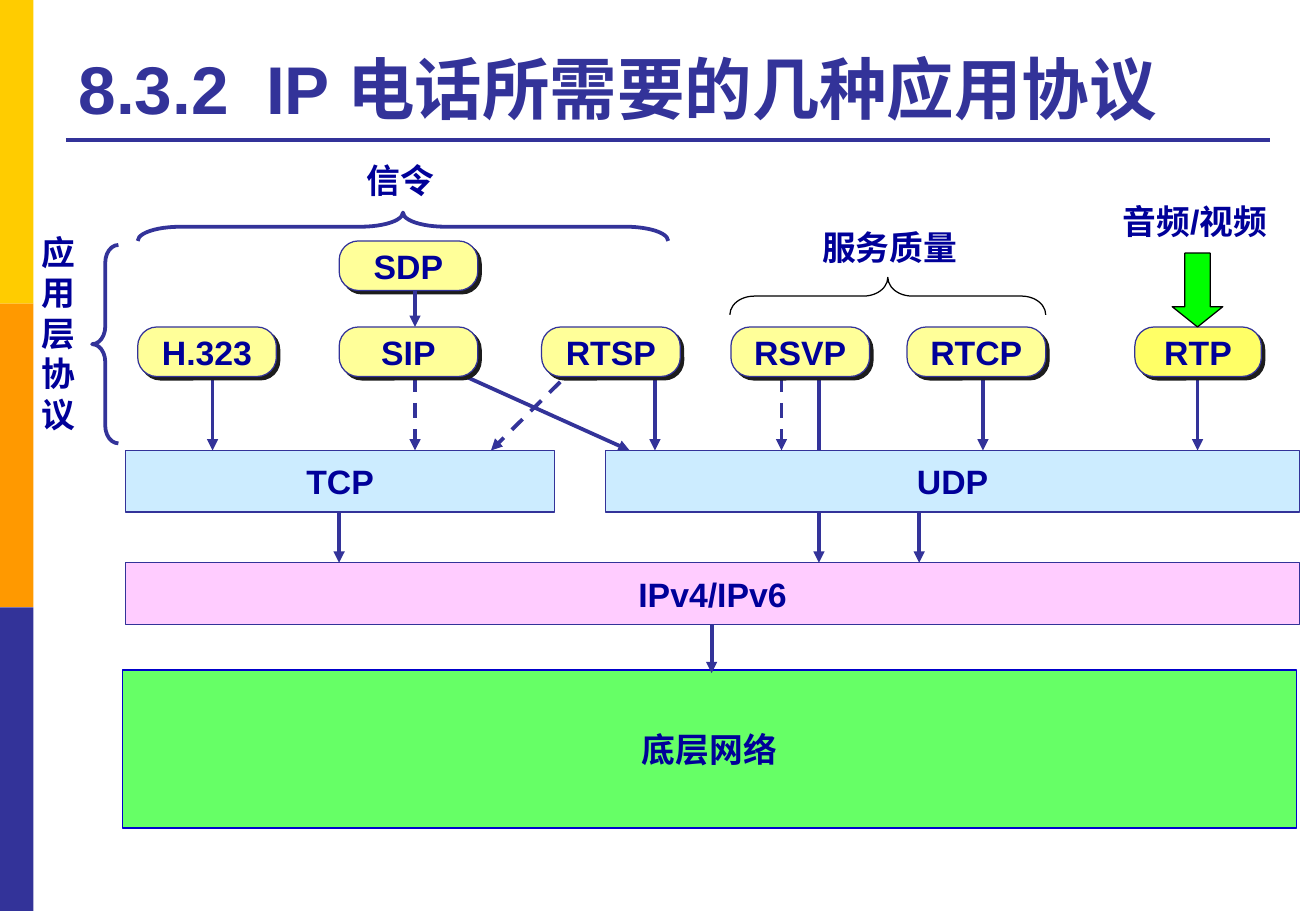
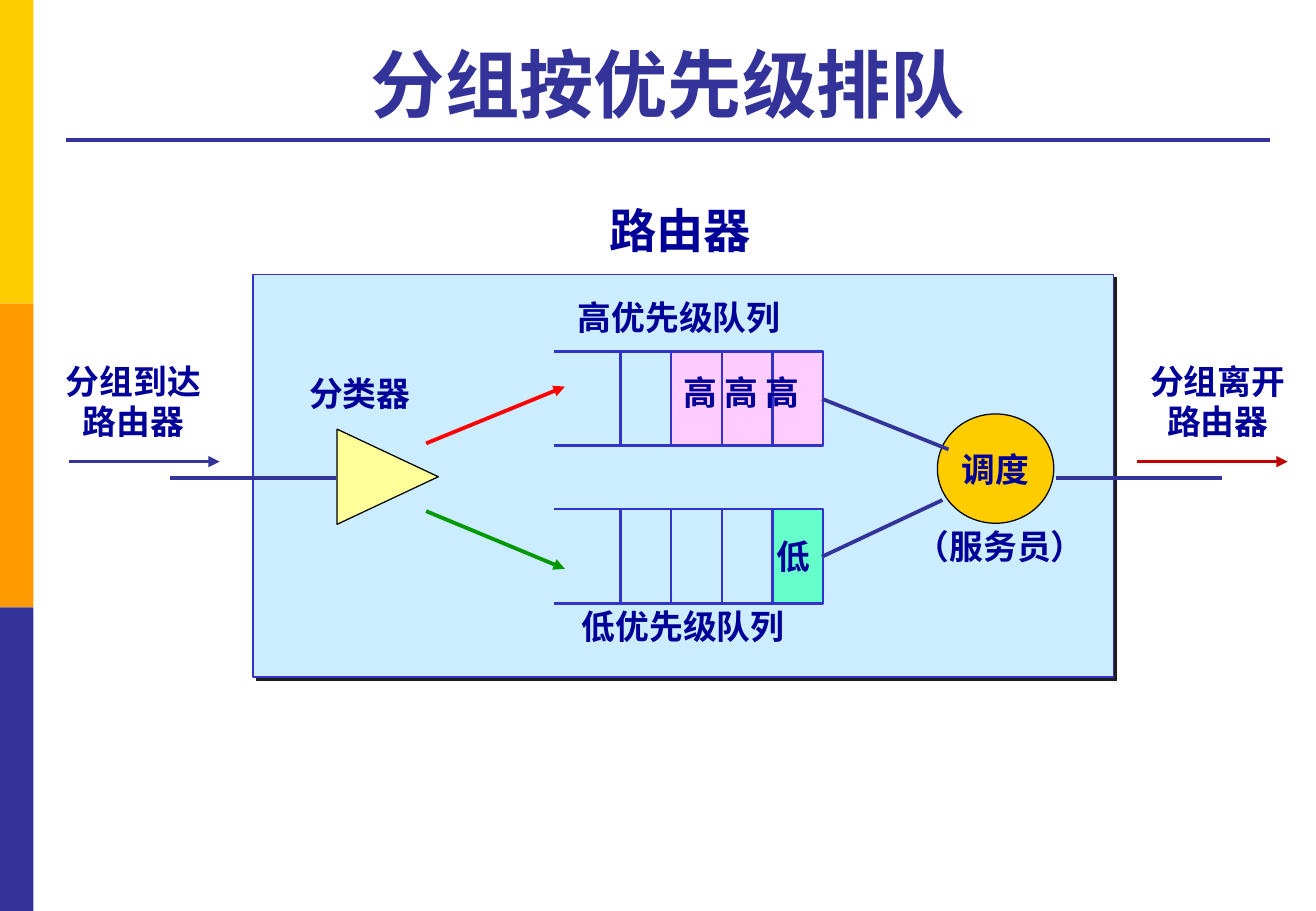
from lxml.etree import SubElement
from pptx import Presentation
from pptx.dml.color import RGBColor
from pptx.enum.dml import MSO_LINE
from pptx.enum.shapes import MSO_CONNECTOR, MSO_SHAPE
from pptx.enum.text import MSO_ANCHOR, PP_ALIGN
from pptx.oxml.ns import qn
from pptx.util import Inches, Pt

COLS, ROWS = 130, 90
INDIGO, NAVY, BLUE, BLACK = "333399", "000099", "3333CC", "000000"
GOLD, ORANGE, SKY, PINK = "FFCC00", "FF9900", "CCECFF", "FFCCFF"
CREAM, YELLOW, MINT = "FFFF99", "FFFF66", "66FFCC"


def rgb(value):
    return RGBColor.from_string(value)


class Deck:
    font = {"name": "Arial", "bold": True}
    frame = {"vertical_anchor": MSO_ANCHOR.MIDDLE, "word_wrap": False}

    def __init__(self):
        self.prs = Presentation()
        self.prs.slide_width, self.prs.slide_height = Inches(10.83), Inches(7.5)
        self.s = None

    def x(self, col):
        return round(self.prs.slide_width * col / COLS)

    def y(self, row):
        return round(self.prs.slide_height * row / ROWS)

    def slide(self, title, size, align=PP_ALIGN.LEFT):
        self.s = self.prs.slides.add_slide(self.prs.slide_layouts[6])
        band = ROWS / 3
        for i, color in enumerate((GOLD, ORANGE, INDIGO)):
            self.shape(MSO_SHAPE.RECTANGLE, (0, i * band, 3.3, band), color)
        self.line((6.5, 13.8), (125.5, 13.8))
        self.label(title, (6.6, 2.5, 118.8, 10.7), size, INDIGO, align,
                   vertical_anchor=MSO_ANCHOR.BOTTOM, word_wrap=True)

    def set_text(self, sp, text, size=20, color=NAVY, align=PP_ALIGN.CENTER, **frame):
        tf = sp.text_frame
        for key, value in {**self.frame, **frame}.items():
            setattr(tf, key, value)
        for i, line in enumerate(text.split("\n")):
            p = tf.add_paragraph() if i else tf.paragraphs[0]
            p.alignment = align
            r = p.add_run()
            r.text = line
            for key, value in {**self.font, "size": Pt(size)}.items():
                setattr(r.font, key, value)
            r.font.color.rgb = rgb(color)

    def label(self, text, box, size=20, color=NAVY, align=PP_ALIGN.CENTER, **frame):
        left, top, width, height = box
        sp = self.s.shapes.add_textbox(self.x(left), self.y(top), self.x(width), self.y(height))
        self.set_text(sp, text, size, color, align, **{"vertical_anchor": MSO_ANCHOR.TOP, **frame})

    def paint(self, sp, fill, line, width):
        sp.shadow.inherit = False
        if fill:
            sp.fill.solid()
            sp.fill.fore_color.rgb = rgb(fill)
        else:
            sp.fill.background()
        if line:
            sp.line.color.rgb = rgb(line)
            sp.line.width = Pt(width)
        else:
            sp.line.fill.background()

    def shape(self, kind, box, fill=None, line=None, width=0.75, text="",
              adj=(), turned=False, shadow=False):
        left, top, w, h = self.x(box[0]), self.y(box[1]), self.x(box[2]), self.y(box[3])
        if turned:
            left, top, w, h = left + (w - h) // 2, top + (h - w) // 2, h, w
        sp = self.s.shapes.add_shape(kind, left, top, w, h)
        sp.rotation = 90 if turned else 0
        for i, value in enumerate(adj):
            sp.adjustments[i] = value
        self.paint(sp, fill, line, width)
        if shadow:
            effects = sp.element.spPr.find(qn("a:effectLst"))
            cast = SubElement(effects, qn("a:outerShdw"), dist=str(Pt(2.8)),
                              dir="2700000", algn="ctr", rotWithShape="0")
            SubElement(cast, qn("a:srgbClr"), val="1C1C1C")
        if text:
            self.set_text(sp, text)

    def bar(self, text, box, fill, line=INDIGO):
        self.shape(MSO_SHAPE.RECTANGLE, box, fill, line, text=text)

    def node(self, text, left, top, width=13.7, fill=CREAM):
        self.shape(MSO_SHAPE.ROUNDED_RECTANGLE, (left, top, width, 4.9), fill, INDIGO,
                   text=text, adj=(0.39,), shadow=True)

    def brace(self, box, adj, line=INDIGO, width=2.25, turned=True):
        self.shape(MSO_SHAPE.LEFT_BRACE, box, None, line, width, adj=(adj, 0.5), turned=turned)

    def line(self, start, end, color=INDIGO, width=2.25, dash=False, head=False):
        c = self.s.shapes.add_connector(MSO_CONNECTOR.STRAIGHT, self.x(start[0]), self.y(start[1]),
                                        self.x(end[0]), self.y(end[1]))
        c.line.color.rgb = rgb(color)
        c.line.width = Pt(width)
        if dash:
            c.line.dash_style = MSO_LINE.DASH
        props = c.element.spPr
        if head:
            SubElement(props.find(qn("a:ln")), qn("a:tailEnd"), type="triangle")
        SubElement(props, qn("a:effectLst"))

    def arrow(self, start, end, color=INDIGO, dash=False):
        self.line(start, end, color, dash=dash, head=True)

    def queue(self, top, filled, fill):
        left, first, cell, cells, height = 54.7, 61.3, 5, 4, 9.3
        right, bottom = first + cell * cells, top + height
        self.shape(MSO_SHAPE.RECTANGLE, (right - filled * cell, top, filled * cell, height), fill)
        corners = [(self.x(c), self.y(r)) for c, r in
                   ((left, top), (right, top), (right, bottom), (left, bottom))]
        outline = self.s.shapes.build_freeform(*corners[0])
        outline.add_line_segments(corners[1:], close=False)
        self.paint(outline.convert_to_shape(), None, BLUE, 1.5)
        for i in range(cells):
            col = first + i * cell
            self.line((col, top), (col, bottom), BLUE, 1.5)


def protocol_slide(deck):
    deck.slide("8.3.2  IP 电话所需要的几种应用协议", 40)
    node_top, node_bottom, transport, internet, network = 32.3, 37.2, 44.5, 55.6, 66.2
    bar_height = 6.1

    deck.arrow((80.9, node_bottom), (80.9, internet))
    deck.bar("TCP", (12.4, transport, 42.4, bar_height), SKY)
    deck.bar("UDP", (59.8, transport, 68.6, bar_height), SKY)
    deck.bar("IPv4/IPv6", (12.4, internet, 116, bar_height), PINK)
    deck.bar("底层网络", (12.1, network, 116, 15.6), "66FF66", "0000CC")

    for col, dash in ((21, False), (41, True), (64.7, False),
                      (77.2, True), (97.1, False), (118.3, False)):
        deck.arrow((col, node_bottom), (col, transport), dash=dash)
    deck.arrow((57.2, 35.9), (48.5, transport), dash=True)
    deck.arrow((46, node_bottom), (62.2, transport))
    for col in (33.5, 90.8):
        deck.arrow((col, transport + bar_height), (col, internet))
    deck.arrow((70.3, internet + bar_height), (70.3, network + 0.3))

    for name, col in (("H.323", 13.6), ("SIP", 33.5), ("RTSP", 53.5),
                      ("RSVP", 72.2), ("RTCP", 89.6)):
        deck.node(name, col, node_top)
    deck.node("RTP", 112.1, node_top, 12.5, YELLOW)
    deck.node("SDP", 33.5, 23.8)
    deck.arrow((41, 28.7), (41, node_top))

    deck.brace((72.1, 27.4, 31.2, 3.7), 0.65, BLACK, 0.75)
    deck.brace((13.6, 21, 52.4, 2.8), 1.49)
    deck.brace((9.1, 24.2, 2.6, 19.6), 0.67, turned=False)
    deck.label("信令", (35, 15.2, 9.1, 5.3))
    deck.label("服务质量", (80, 21.8, 15.8, 5.3))
    deck.label("应\n用\n层\n协\n议", (2.9, 22.3, 5.8, 21.4))
    deck.label("音频/视频", (109.7, 19.2, 16.9, 9.2), align=PP_ALIGN.LEFT, word_wrap=True)
    deck.shape(MSO_SHAPE.DOWN_ARROW, (115.8, 25, 5, 7.3), "00FF00", BLACK, adj=(0.5, 0.4))


def queue_slide(deck):
    deck.slide("分组按优先级排队", 44, PP_ALIGN.CENTER)
    deck.shape(MSO_SHAPE.RECTANGLE, (25, 27.1, 85, 39.8), SKY, BLUE, shadow=True)
    deck.queue(34.7, 3, PINK)
    deck.queue(50.3, 1, MINT)
    deck.shape(MSO_SHAPE.ISOSCELES_TRIANGLE, (33.3, 42.4, 10, 9.4), CREAM, BLACK, turned=True)
    deck.shape(MSO_SHAPE.OVAL, (92.6, 40.9, 11.5, 10.8), GOLD, BLACK, text="调度")

    for start, end in (((16.8, 47.2), (33.2, 47.2)), ((104.3, 47.2), (120.7, 47.2)),
                       ((81.2, 39.4), (93.7, 44.4)), ((81.2, 55), (93.1, 49.4))):
        deck.line(start, end)
    for start, end, color in (((6.8, 45.6), (21.7, 45.6), INDIGO),
                              ((112.3, 45.6), (127.2, 45.6), "C00000"),
                              ((42.1, 43.8), (55.8, 38.2), "FF0000"),
                              ((42.1, 50.5), (55.8, 56.2), "009900")):
        deck.arrow(start, end, color)

    deck.label("路由器", (58.9, 19.3, 16.6, 6.8), 28)
    for text, box in (("高优先级队列", (55.8, 28.7, 22.6, 5.3)),
                      ("低优先级队列", (56.2, 59.3, 22.6, 5.3)),
                      ("分组到达\n路由器", (5.3, 35, 15.8, 9.2)),
                      ("分组离开\n路由器", (112.4, 35, 15.8, 9.2)),
                      ("分类器", (29.3, 36.2, 12.5, 5.3)),
                      ("（服务员）", (89.2, 51.4, 19.2, 5.3)),
                      ("高 高 高", (66.1, 36.1, 14.3, 5.3)),
                      ("低", (75.5, 52.3, 5.8, 5.3))):
        deck.label(text, box)


def main():
    deck = Deck()
    protocol_slide(deck)
    queue_slide(deck)
    deck.prs.save("out.pptx")


if __name__ == "__main__":
    main()
